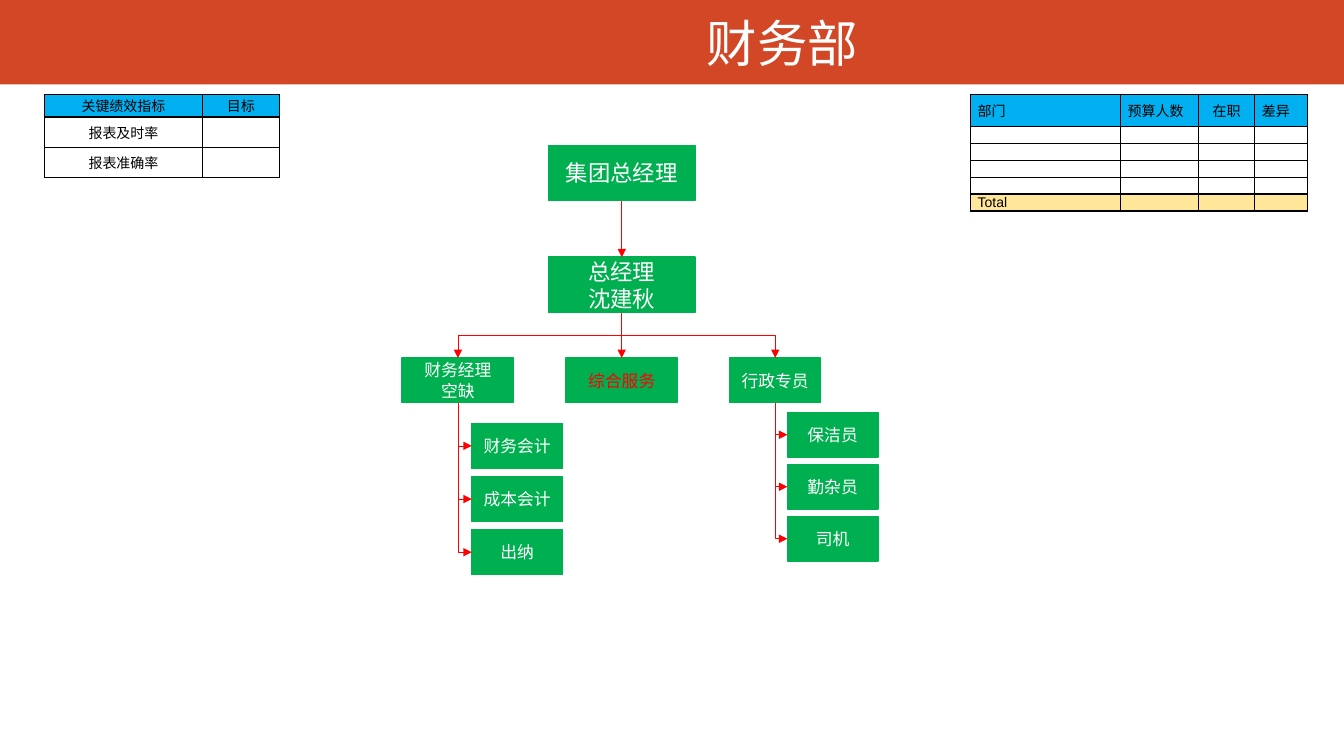
"""Builds the organisation chart slide of the finance department."""
from lxml import etree
from pptx import Presentation
from pptx.dml.color import RGBColor
from pptx.enum.shapes import MSO_CONNECTOR, MSO_SHAPE
from pptx.enum.text import MSO_ANCHOR, PP_ALIGN
from pptx.oxml.ns import qn
from pptx.util import Cm, Pt

RECT = MSO_SHAPE.RECTANGLE
STRAIGHT, ELBOW = MSO_CONNECTOR.STRAIGHT, MSO_CONNECTOR.ELBOW
MIDDLE, BOTTOM = MSO_ANCHOR.MIDDLE, MSO_ANCHOR.BOTTOM
CENTER, JUSTIFY = PP_ALIGN.CENTER, PP_ALIGN.JUSTIFY
WHITE, BLACK, RED, GREEN = "FFFFFF", "000000", "FF0000", "00B050"
ORANGE, BLUE, YELLOW = "D24726", "00B0F0", "FFE699"
LATIN, CHINESE = "Arial", "Noto Sans CJK SC"


def color(value):
    return RGBColor.from_string(value)


def assign(target, values):
    for name, value in values.items():
        setattr(target, name, value)


class OrgSlide:
    """Holds the style and the slide being drawn."""

    def __init__(self, deck):
        self.slide = deck.slides.add_slide(deck.slide_layouts[6])
        self.shapes = self.slide.shapes

    def put_text(self, frame, text, size, ink, align=CENTER, font=LATIN):
        frame.text = text
        for paragraph in frame.paragraphs:
            paragraph.alignment = align
            for run in paragraph.runs:
                assign(run.font, {"size": Pt(size), "name": font})
                run.font.color.rgb = color(ink)
                east = etree.SubElement(run.font._element, qn("a:ea"))
                east.set("typeface", CHINESE)
            if not paragraph.runs:
                paragraph._p.get_or_add_endParaRPr().set("sz", str(size * 100))

    def title(self, text, *place):
        frame = self.shapes.add_textbox(*map(Cm, place)).text_frame
        assign(frame, {"word_wrap": True, "vertical_anchor": BOTTOM})
        self.put_text(frame, text, 36, WHITE, font=CHINESE)

    def rect(self, fill, *place):
        shape = self.shapes.add_shape(RECT, *map(Cm, place))
        shape.shadow.inherit = False
        shape.fill.solid()
        shape.fill.fore_color.rgb = color(fill)
        shape.line.fill.background()
        return shape

    def post(self, text, *place, size=12, ink=WHITE):
        shape = self.rect(GREEN, *place)
        shape.line.color.rgb = color(GREEN)
        shape.line.width = Pt(1)
        assign(shape.text_frame, {"word_wrap": True, "vertical_anchor": MIDDLE})
        self.put_text(shape.text_frame, text, size, ink)
        return shape

    def arrow(self, kind, points, width):
        link = self.shapes.add_connector(kind, *points)
        link.line.color.rgb = color(RED)
        link.line.width = Pt(width)
        head = etree.SubElement(link.line._get_or_add_ln(), qn("a:tailEnd"))
        head.set("type", "triangle")
        etree.SubElement(link._element.spPr, qn("a:effectLst"))
        return link

    def command(self, boss, report):
        link = self.arrow(STRAIGHT, (0, 0, 0, 0), 1)
        link.begin_connect(boss, 2)
        link.end_connect(report, 0)

    def elbow(self, boss, report, sideways=False):
        x1, y1 = boss.left + boss.width // 2, boss.top + boss.height
        x2, y2 = report.left + report.width // 2, report.top
        if sideways:
            x2, y2 = report.left, report.top + report.height // 2
        across, down = abs(x2 - x1), y2 - y1
        left, top = (x1 + x2 - down) // 2, (y1 + y2 - across) // 2
        link = self.arrow(ELBOW, (left, top, left + down, top + across), 0.5)
        frame = link._element.spPr.find(qn("a:xfrm"))
        if x2 < x1:
            frame.set("rot", "5400000")
        else:
            frame.set("rot", "16200000")
            frame.set("flipH", "1")
        if sideways:
            link._element.spPr.find(qn("a:prstGeom")).set("prst", "bentConnector2")

    def cell(self, cell, text, fill, align, margins):
        side, edge = margins
        assign(cell, {"vertical_anchor": MIDDLE,
                      "margin_left": Cm(side), "margin_right": Cm(side),
                      "margin_top": Cm(edge), "margin_bottom": Cm(edge)})
        self.put_text(cell.text_frame, text, 10, BLACK, align)
        properties = cell._tc.get_or_add_tcPr()
        for border in ("a:lnL", "a:lnR", "a:lnT", "a:lnB"):
            line = etree.SubElement(properties, qn(border), w=str(Pt(1)))
            ink = etree.SubElement(line, qn("a:solidFill"))
            etree.SubElement(ink, qn("a:srgbClr"), val=BLACK)
        if fill:
            cell.fill.solid()
            cell.fill.fore_color.rgb = color(fill)
        else:
            cell.fill.background()

    def table(self, left, top, widths, heights, rows, fills, aligns, body_margins):
        table = self.shapes.add_table(
            len(heights), len(widths), Cm(left), Cm(top),
            Cm(sum(widths)), Cm(sum(heights))).table
        assign(table, {"first_row": False, "horz_banding": False})
        for column, width in zip(table.columns, widths):
            column.width = Cm(width)
        for r, height in enumerate(heights):
            table.rows[r].height = Cm(height)
            for c, text in enumerate(rows[r]):
                margins = body_margins if r else (0.18, 0)
                self.cell(table.cell(r, c), text, fills.get(r), aligns[c], margins)


def main():
    deck = Presentation()
    assign(deck, {"slide_width": Cm(33.87), "slide_height": Cm(19.05)})
    chart = OrgSlide(deck)
    chart.rect(ORANGE, 0, 0, 33.87, 2.13)
    chart.title("财务部", 5.66, 0.1, 28.12, 1.85)

    headcount = [["部门", "预算人数", "在职", "差异"],
                 *[[""] * 4 for _ in range(4)], ["Total", "", "", ""]]
    chart.table(24.46, 2.39, [3.78, 1.96, 1.42, 1.32], [0.8] + [0.4] * 5,
                headcount, {0: BLUE, 5: YELLOW},
                [JUSTIFY, JUSTIFY, CENTER, JUSTIFY], (0.18, 0))
    targets = [["关键绩效指标", "目标"], ["报表及时率", ""], ["报表准确率", ""]]
    chart.table(1.12, 2.39, [3.98, 1.94], [0.56, 0.76, 0.76],
                targets, {0: BLUE}, [CENTER, CENTER], (0.25, 0.13))

    group_head = chart.post("集团总经理", 13.82, 3.66, 3.7, 1.4, size=16)
    manager = chart.post("总经理\n沈建秋", 13.82, 6.48, 3.7, 1.4, size=16)
    chart.command(group_head, manager)

    branches = [
        ("财务经理\n空缺", 10.13, 2.82, WHITE, 11.89, 10.67, 1.34,
         ["财务会计", "成本会计", "出纳"]),
        ("综合服务", 14.26, 2.82, RED, 0, 0, 0, []),
        ("行政专员", 18.39, 2.29, WHITE, 19.84, 10.39, 1.31,
         ["保洁员", "勤杂员", "司机"]),
    ]
    for name, left, width, ink, staff_left, staff_top, pitch, staff in branches:
        branch = chart.post(name, left, 9.02, width, 1.13, ink=ink)
        chart.elbow(manager, branch)
        for i, role in enumerate(staff):
            member = chart.post(role, staff_left, staff_top + i * pitch, 2.29, 1.13)
            chart.elbow(branch, member, sideways=True)
    deck.save("out.pptx")


if __name__ == "__main__":
    main()
